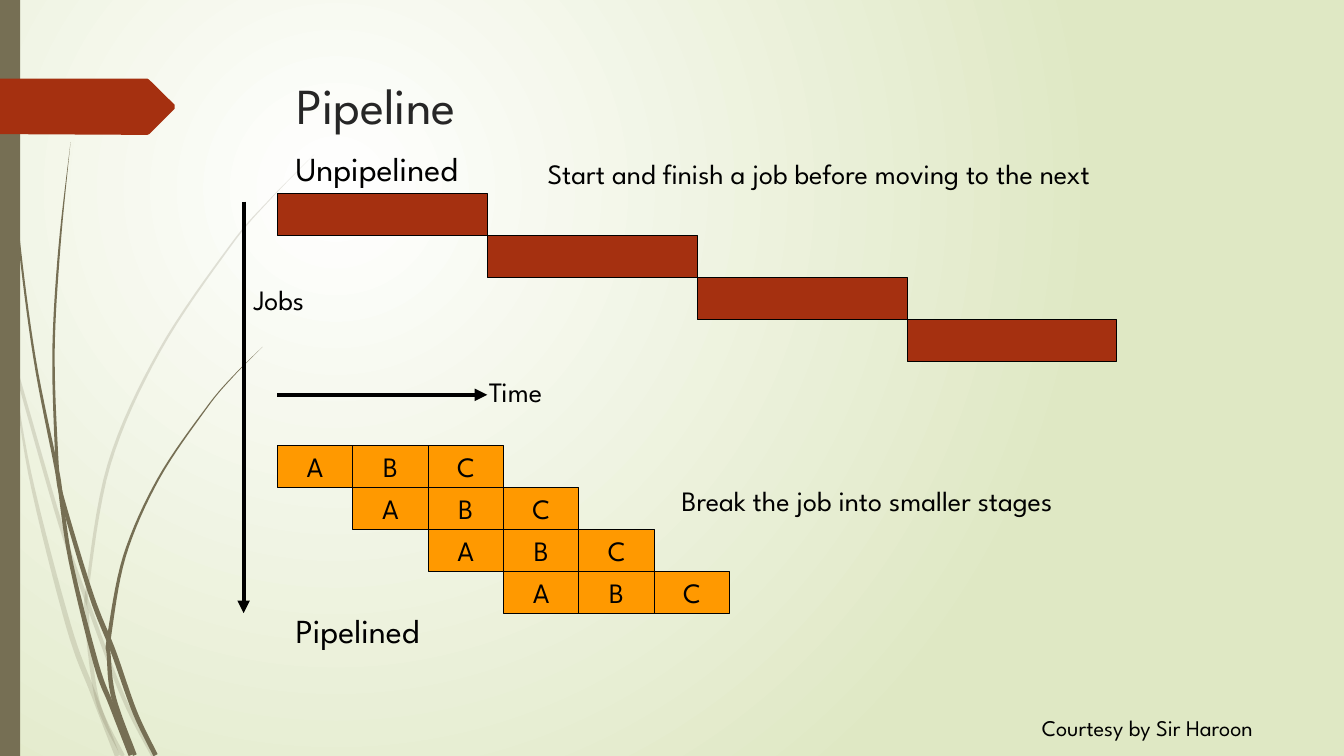
"""Build a slide that compares unpipelined and pipelined jobs."""
from dataclasses import dataclass
from math import hypot

from pptx import Presentation
from pptx.dml.color import RGBColor as Rgb
from pptx.enum.shapes import MSO_CONNECTOR as Link, MSO_SHAPE as Shape
from pptx.enum.text import MSO_ANCHOR as Anchor, MSO_AUTO_SIZE as Fit, PP_ALIGN as Align
from pptx.oxml import parse_xml
from pptx.oxml.ns import nsdecls, qn
from pptx.oxml.xmlchemy import OxmlElement as Node
from pptx.util import Cm, Pt


@dataclass(frozen=True)
class Theme:
    font: str = "League Spartan"
    ink: str = "000000"
    head: str = "262626"
    rust: str = "A53010"
    amber: str = "FF9900"
    olive: str = "766F54"
    white: str = "FFFFFF"
    lime: str = "DFE8C4"
    title: int = 36
    label: int = 24
    body: int = 20
    small: int = 16
    thin: float = 0.75
    thick: float = 3


THEME = Theme()
WIDE, HIGH = 33.87, 19.05
LEFT = 6.99
ROW = 1.06
JOB, STAGE = 5.29, 1.9
COUNT = 4

PALE = [
    [(0, 7.38, .08), (.27, 8.85, .06), (.4, 9.3, .08), (1.52, 13.2, .1),
     (2.25, 15.3, .1), (3.12, 17.6, .1), (3.88, 19.05, .13)],
    [(.28, 8.9, 0), (.75, 11.93, .08), (1.72, 15.75, .13), (2.36, 17.5, .13),
     (2.96, 19.05, .13)],
    [(7.92, 3.89, 0), (6.81, 5.02, .02), (5.8, 6.2, .04), (4.02, 8.84, .06),
     (2.75, 11.7, .08), (2.2, 14.83, .08), (2.2, 15.5, .09), (2.26, 16.4, .1),
     (2.5, 17.8, .1), (3.1, 19.05, .1)],
]
DARK = [
    [(.09, 0, .03), (.19, 2.78, .04), (.46, 5.9, .05), (.87, 9.02, .06),
     (1.4, 11.7, .09), (1.58, 12.6, .1), (2.3, 15, .12), (2.85, 16.4, .13),
     (3.4, 17.95, .12), (3.92, 19.03, .12)],
    [(1.78, 3.58, 0), (1.5, 6.22, .05), (1.35, 8.86, .06), (1.43, 11.5, .08),
     (1.5, 12.2, .1), (1.78, 14.13, .1), (2.42, 16.72, .13), (2.81, 17.77, .12),
     (3.3, 19.03, .12)],
    [(6.62, 8.74, 0), (5.87, 9.49, .02), (5.19, 10.3, .03), (3.99, 12.07, .05),
     (3.14, 14.01, .07), (2.75, 16.05, .1), (2.74, 16.5, .1), (2.87, 17.6, .12),
     (3.4, 19.03, .1)],
]
RIBBON = [(0, 1.98), (3.71, 1.98), (3.76, 2.01), (4.4, 2.64), (4.4, 2.74),
          (3.76, 3.38), (3.71, 3.4), (0, 3.38)]


def place(item, x, y, w, h):
    item.left, item.top, item.width, item.height = Cm(x), Cm(y), Cm(w), Cm(h)


def paint(item, color, edge=None):
    item.shadow.inherit = False
    item.fill.solid()
    item.fill.fore_color.rgb = Rgb.from_string(color)
    if edge:
        item.line.color.rgb = Rgb.from_string(edge)
        item.line.width = Pt(THEME.thin)
    else:
        item.line.fill.background()


def write(item, text, size, color=THEME.ink, align=Align.LEFT):
    line = item.text_frame.paragraphs[0]
    line.alignment = align
    run = line.add_run()
    run.text = text
    run.font.size = Pt(size)
    run.font.name = THEME.font
    run.font.color.rgb = Rgb.from_string(color)


def label(slide, text, x, y, w, h, size=THEME.body, wrap=False):
    box = slide.shapes.add_textbox(Cm(x), Cm(y), Cm(w), Cm(h))
    box.text_frame.word_wrap = wrap
    box.text_frame.auto_size = Fit.SHAPE_TO_FIT_TEXT
    write(box, text, size)


def block(slide, x, y, w, h, color, edge=THEME.ink, text=None):
    box = slide.shapes.add_shape(Shape.RECTANGLE, Cm(x), Cm(y), Cm(w), Cm(h))
    paint(box, color, edge)
    if text:
        box.text_frame.word_wrap = False
        box.text_frame.vertical_anchor = Anchor.MIDDLE
        write(box, text, THEME.body, align=Align.CENTER)


def arrow(slide, x1, y1, x2, y2):
    line = slide.shapes.add_connector(Link.STRAIGHT, Cm(x1), Cm(y1), Cm(x2), Cm(y2))
    line.line.color.rgb = Rgb.from_string(THEME.ink)
    line.line.width = Pt(THEME.thick)
    tip = Node("a:tailEnd")
    tip.set("type", "triangle")
    line.line._get_or_add_ln().append(tip)
    line._element.spPr.append(Node("a:effectLst"))


def outline(slide, dots, color, alpha=None):
    dots = [(Cm(x), Cm(y)) for x, y in dots]
    pen = slide.shapes.build_freeform(*dots[0])
    pen.add_line_segments(dots[1:])
    form = pen.convert_to_shape()
    paint(form, color)
    if alpha:
        mark = Node("a:alpha")
        mark.set("val", str(alpha * 1000))
        form._element.spPr.find(".//" + qn("a:srgbClr")).append(mark)


def smooth(knots, steps=8):
    """Return points on a Catmull-Rom curve through the knots."""
    ends = [knots[0], *knots, knots[-1]]
    curve = []
    for a, b, c, d in zip(ends, ends[1:], ends[2:], ends[3:]):
        for step in range(steps):
            t = step / steps
            curve.append(tuple(
                q + t * (r - p) / 2 + t * t * (2 * p - 5 * q + 4 * r - s) / 2
                + t ** 3 * (3 * q - p - 3 * r + s) / 2
                for p, q, r, s in zip(a, b, c, d)))
    return curve + [knots[-1]]


def blade(slide, knots, alpha=None):
    curve = smooth(knots)
    near, far = [], []
    for i, (x, y, w) in enumerate(curve):
        back, front = curve[max(i - 1, 0)], curve[min(i + 1, len(curve) - 1)]
        dx, dy = front[0] - back[0], front[1] - back[1]
        half = w / 2 / hypot(dx, dy)
        near.append((x - dy * half, y + dx * half))
        far.append((x + dy * half, y - dx * half))
    outline(slide, near + far[::-1], THEME.olive, alpha)


def backdrop(slide):
    fill = slide.background.fill
    fill.gradient()
    for stop, color in zip(fill.gradient_stops, (THEME.white, THEME.lime)):
        stop.color.rgb = Rgb.from_string(color)
    grad = slide.element.find(".//" + qn("a:gradFill"))
    grad.replace(grad.find(qn("a:lin")), parse_xml(
        f'<a:path {nsdecls("a")} path="circle">'
        '<a:fillToRect l="50000" t="50000" r="100000" b="100000"/></a:path>'))
    for knots in PALE:
        blade(slide, knots, 20)
    for knots in DARK:
        blade(slide, knots)
    block(slide, 0, 0, .51, HIGH, THEME.olive, None)
    outline(slide, RIBBON, THEME.rust)


def header(slide, text):
    title = slide.shapes.title
    place(title, 7.21, 1.73, 24.77, 3.56)
    title.text_frame.vertical_anchor = Anchor.TOP
    write(title, text, THEME.title, THEME.head)


def main():
    deck = Presentation()
    deck.slide_width, deck.slide_height = Cm(WIDE), Cm(HIGH)
    slide = deck.slides.add_slide(deck.slide_layouts[5])
    backdrop(slide)
    header(slide, "Pipeline")
    for job in range(COUNT):
        block(slide, LEFT + job * JOB, 4.87 + job * ROW, JOB, ROW, THEME.rust)
        for i, name in enumerate("ABC"):
            block(slide, LEFT + (job + i) * STAGE, 11.22 + job * ROW,
                  STAGE, ROW, THEME.amber, text=name)
    arrow(slide, 6.14, 5.08, 6.14, 15.45)
    arrow(slide, LEFT, 9.95, LEFT + JOB, 9.95)
    label(slide, "Unpipelined", 7.2, 3.6, 5.49, 1.27, THEME.label)
    label(slide, "Pipelined", 7.2, 15.24, 4.34, 1.27, THEME.label)
    label(slide, "Start and finish a job before moving to the next", 13.55, 3.81, 16.71, 1.11)
    label(slide, "Break the job into smaller stages", 16.93, 12.07, 11.56, 1.11)
    label(slide, "Jobs", 6.14, 6.99, 2.08, 1.11)
    label(slide, "Time", 12.07, 9.31, 2.08, 1.11)
    label(slide, "Courtesy by Sir Haroon", 26.01, 17.86, 8.46, 1.7, THEME.small, True)
    deck.save("out.pptx")


if __name__ == "__main__":
    main()
